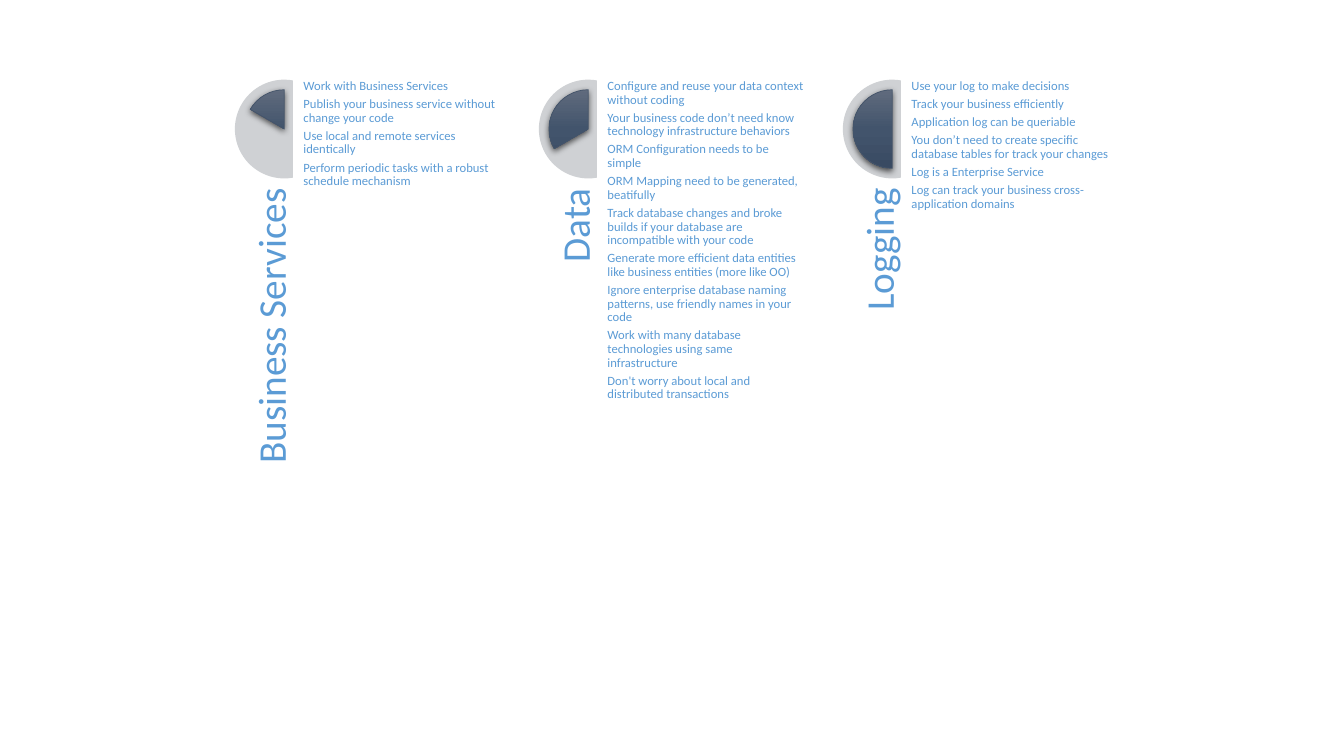
from pptx import Presentation
from pptx.dml.color import RGBColor
from pptx.enum.shapes import MSO_SHAPE as Shp
from pptx.enum.text import MSO_ANCHOR as Anchor, MSO_AUTO_SIZE as Auto, PP_ALIGN as Align
from pptx.oxml import parse_xml
from pptx.oxml.ns import nsdecls
from pptx.util import Inches, Pt

BLUE, GREY, EDGE = "5B9BD5", "CFD1D4", "44546A"
SHADES = ((0, "606B7D"), (50, "42546C"), (100, "394A62"))
LEFT, TOP, STEP = 2.33, 0.79, 3.015

# Heading, start of the pie slice, list
COLUMNS = [
    ("Business Services", 126, [
        "Work with Business Services",
        "Publish your business service without change your code",
        "Use local and remote services identically",
        "Perform periodic tasks with a robust schedule mechanism",
    ]),
    ("Data", 90, [
        "Configure and reuse your data context without coding",
        "Your business code don’t need know technology infrastructure behaviors",
        "ORM Configuration needs to be simple",
        "ORM Mapping need to be generated, beatifully",
        "Track database changes and broke builds if your database are "
        "incompatible with your code",
        "Generate more efficient data entities like business entities (more like OO)",
        "Ignore enterprise database naming patterns, use friendly names in your code",
        "Work with many database technologies using same infrastructure",
        "Don't worry about local and distributed transactions",
    ]),
    ("Logging", 54, [
        "Use your log to make decisions",
        "Track your business efficiently",
        "Application log can be queriable",
        "You don’t need to create specific database tables for track your changes",
        "Log is a Enterprise Service",
        "Log can track your business cross-application domains",
    ]),
]


def color(code):
    return RGBColor.from_string(code)


def apply(item, values):
    for name, value in values.items():
        setattr(item, name, value)


def place(shape, x, y, w, h):
    apply(shape, {"left": Inches(x), "top": Inches(y),
                  "width": Inches(w), "height": Inches(h)})


def write(shape, lines, size, align, anchor):
    frame = shape.text_frame
    apply(frame, {"word_wrap": True, "auto_size": Auto.NONE, "vertical_anchor": anchor,
                  "margin_left": 0, "margin_top": 0, "margin_right": 0, "margin_bottom": 0})
    for i, line in enumerate(lines):
        para = frame.add_paragraph() if i else frame.paragraphs[0]
        apply(para, {"alignment": align, "line_spacing": 0.9,
                     "space_before": Pt(0), "space_after": Pt(size * 0.35)})
        run = para.add_run()
        run.text = line
        apply(run.font, {"name": "Calibri", "size": Pt(size), "bold": False})
        run.font.color.rgb = color(BLUE)


def add_arc(slide, kind, x, y, size, start, end):
    shape = slide.shapes.add_shape(kind, *map(Inches, (x, y, size, size)))
    shape.adjustments[0], shape.adjustments[1] = start, end
    shape.shadow.inherit = False
    shape.fill.solid()
    shape.fill.fore_color.rgb = color(GREY)
    shape.line.fill.background()
    return shape


def shade(shape):
    """Give a slice its gradient, outline and soft shadow."""
    shape.line.color.rgb = color(EDGE)
    shape.line.width = Pt(0.5)
    props = shape._element.spPr
    stops = "".join(f'<a:gs pos="{pos * 1000}"><a:srgbClr val="{code}"/></a:gs>'
                    for pos, code in SHADES)
    grad = parse_xml(f'<a:gradFill {nsdecls("a")} rotWithShape="1"><a:gsLst>{stops}</a:gsLst>'
                     '<a:lin ang="5400000" scaled="0"/></a:gradFill>')
    props.replace(props.find("{*}solidFill"), grad)
    glow = parse_xml(f'<a:outerShdw {nsdecls("a")} blurRad="{Pt(4.5)}" dist="{Pt(1.5)}" '
                     'dir="5400000" algn="ctr" rotWithShape="0"><a:srgbClr val="000000">'
                     '<a:alpha val="63000"/></a:srgbClr></a:outerShdw>')
    props.find("{*}effectLst").append(glow)


def add_head(slide, x, text):
    box = slide.shapes.add_textbox(0, 0, 0, 0)
    place(box, x, 2.99, 2.83, 0.59)
    box.rotation = 270
    write(box, [text], 28, Align.RIGHT, Anchor.BOTTOM)


def fill_list(body, x, lines):
    place(body, x, TOP, 1.95, 3.91)
    write(body, lines, 9, Align.LEFT, Anchor.TOP)
    for para in body.text_frame.paragraphs:
        props = para._p.get_or_add_pPr()
        props.set("marL", "0")
        props.set("indent", "0")
        props.append(parse_xml(f'<a:buNone {nsdecls("a")}/>'))


def main():
    deck = Presentation()
    deck.slide_width, deck.slide_height = Inches(13.33), Inches(7.5)
    slide = deck.slides.add_slide(deck.slide_layouts.get_by_name("Comparison"))
    title, *bodies = slide.placeholders

    # One column per topic: dial, upright heading, list
    for i, (head, start, lines) in enumerate(COLUMNS):
        x = LEFT + i * STEP
        add_arc(slide, Shp.CHORD, x, TOP, 0.98, 48, 168)
        shade(add_arc(slide, Shp.PIE, x + 0.1, TOP + 0.1, 0.78, start, 162))
        add_head(slide, x - 1.12, head)
        fill_list(bodies[i], x + 0.68, lines)

    # Placeholders without content
    for spare in (title, *bodies[len(COLUMNS):]):
        spare._element.getparent().remove(spare._element)
    deck.save("out.pptx")


if __name__ == "__main__":
    main()
